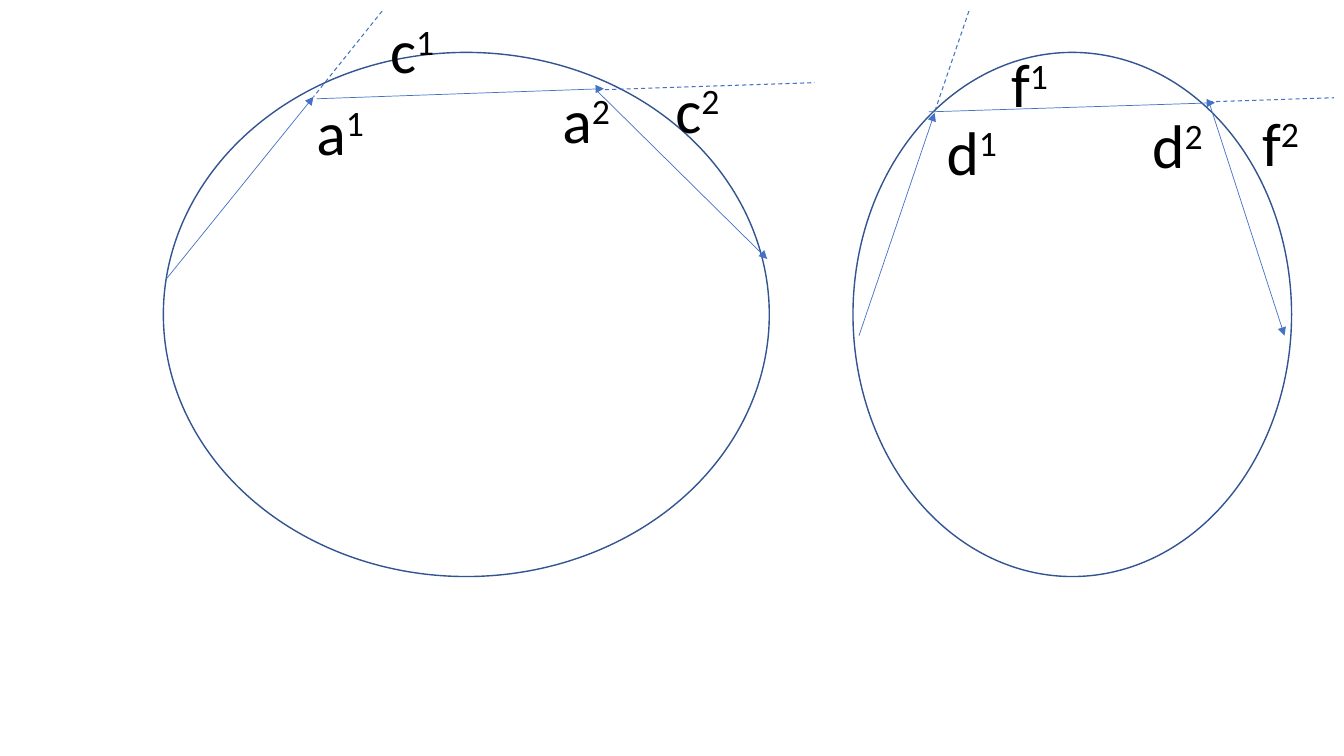
import lxml.etree
import pptx
import pptx.dml.color
import pptx.enum.dml
import pptx.enum.shapes
import pptx.enum.text
import pptx.oxml.ns
import pptx.util

THEME = {
    "font": "Calibri",
    "label_size": pptx.util.Pt(44),
    "text": pptx.dml.color.RGBColor.from_string("000000"),
    "chord": pptx.dml.color.RGBColor.from_string("4472C4"),
    "outline": pptx.dml.color.RGBColor.from_string("325491"),
    "chord_width": pptx.util.Pt(0.5),
    "tangent_width": pptx.util.Pt(0.75),
    "outline_width": pptx.util.Pt(1),
}

deck = pptx.Presentation()
deck.slide_width = pptx.util.Inches(13.33)
deck.slide_height = pptx.util.Inches(7.5)
page = deck.slides.add_slide(deck.slide_layouts[6])
CELL = deck.slide_height / 75


def cells(*counts):
    return [round(count * CELL) for count in counts]


def add_line(ends, width):
    line = page.shapes.add_connector(
        pptx.enum.shapes.MSO_CONNECTOR.STRAIGHT, *cells(*ends))
    line.line.color.rgb = THEME["chord"]
    line.line.width = width
    lxml.etree.SubElement(line._element.spPr, pptx.oxml.ns.qn("a:effectLst"))
    return line


ellipse_top, ellipse_height = 5.2, 52
for left, width in [(16.2, 60.1), (84.6, 43.5)]:
    ellipse = page.shapes.add_shape(
        pptx.enum.shapes.MSO_SHAPE.OVAL,
        *cells(left, ellipse_top, width, ellipse_height))
    ellipse.shadow.inherit = False
    ellipse.fill.background()
    ellipse.line.color.rgb = THEME["outline"]
    ellipse.line.width = THEME["outline_width"]

chords = [
    (16.4, 27.8, 31.1, 9.6),
    (31.4, 9.8, 59.9, 8.8),
    (59.3, 9.1, 76.1, 25.7),
    (85.2, 33.3, 92.7, 11.2),
    (92.1, 11.1, 120.5, 10.2),
    (119.9, 10.1, 127.4, 33.3),
]
for ends in chords:
    chord = add_line(ends, THEME["chord_width"])
    outline = chord._element.spPr.find(pptx.oxml.ns.qn("a:ln"))
    lxml.etree.SubElement(outline, pptx.oxml.ns.qn("a:tailEnd"), type="triangle")

labels = [
    ("a", "1", 30.4, 8.8),
    ("c", "1", 37.7, 0.7),
    ("c", "2", 66, 6.6),
    ("a", "2", 54.8, 7.6),
    ("d", "1", 92.9, 10.8),
    ("f", "1", 99.3, 4.1),
    ("d", "2", 113.3, 10.1),
    ("f", "2", 124.2, 9.9),
]
for letter, index, left, top in labels:
    box = page.shapes.add_textbox(*cells(left, top, 10.4, 8.4))
    box.text_frame.word_wrap = True
    box.text_frame.auto_size = pptx.enum.text.MSO_AUTO_SIZE.SHAPE_TO_FIT_TEXT
    para = box.text_frame.paragraphs[0]
    for text, baseline in [(letter, "0"), (index, "30000")]:
        span = para.add_run()
        span.text = text
        span.font.name = THEME["font"]
        span.font.size = THEME["label_size"]
        span.font.color.rgb = THEME["text"]
        span._r.get_or_add_rPr().set("baseline", baseline)

tangents = [
    (37.9, 1.1, 31.1, 9.6),
    (60, 8.9, 80.8, 8.2),
    (96.1, 1.1, 92.8, 10.8),
    (119.9, 10.1, 132.3, 9.7),
]
for ends in tangents:
    tangent = add_line(ends, THEME["tangent_width"])
    tangent.line.dash_style = pptx.enum.dml.MSO_LINE.DASH

deck.save("out.pptx")
